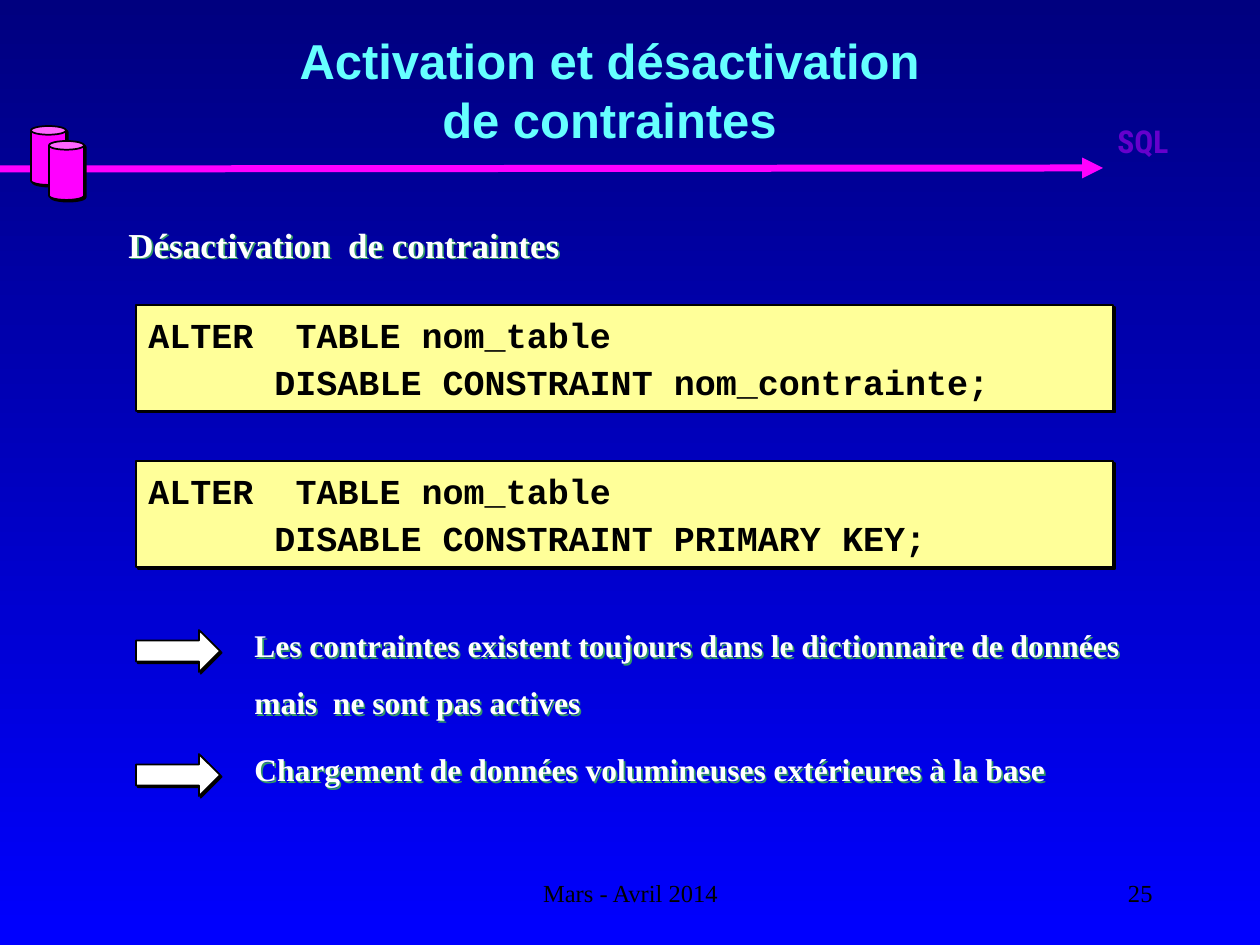
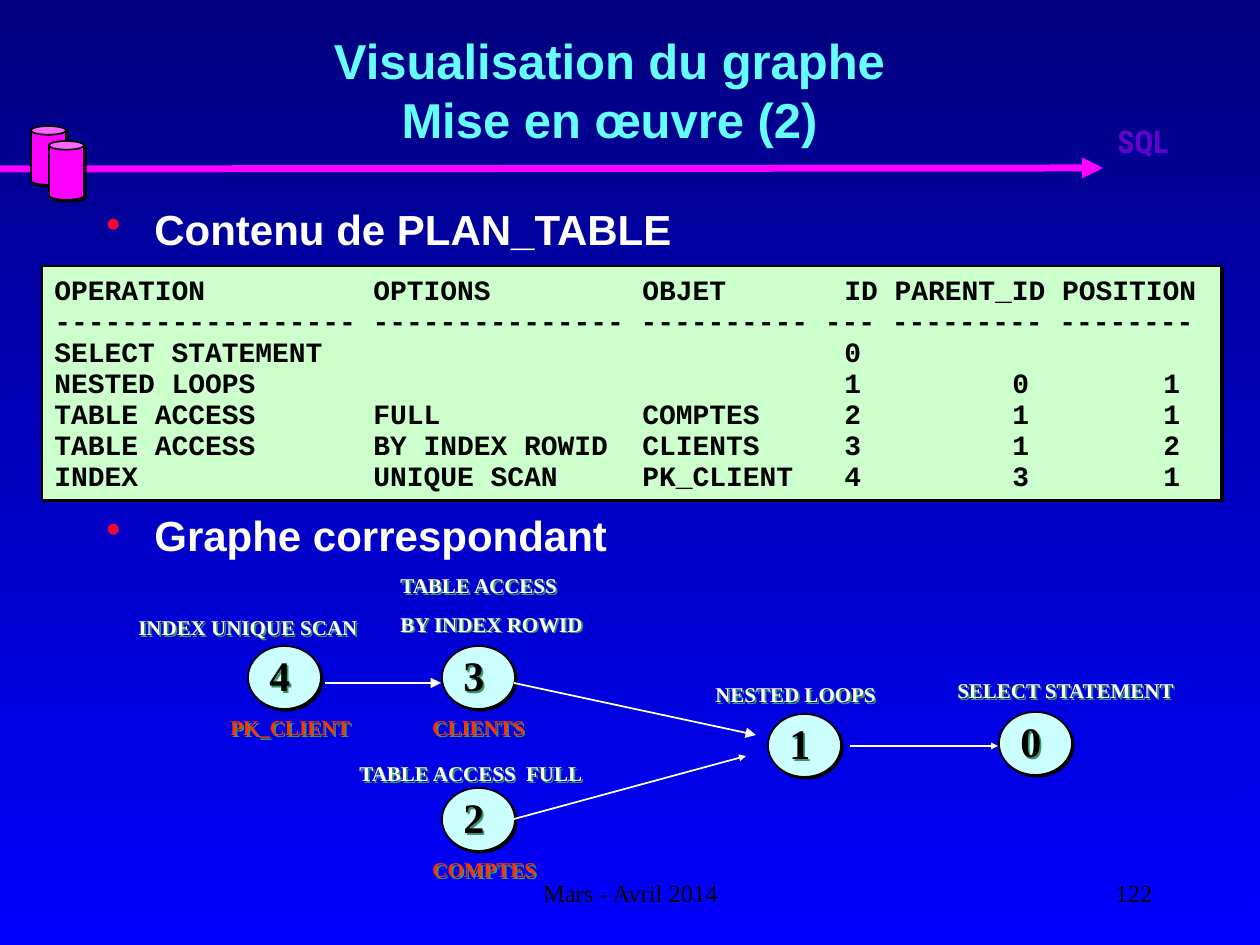
"""Build two SQL course slides: constraint deactivation and a query plan graph."""
from dataclasses import dataclass
from typing import NamedTuple, Optional

import pptx
import pptx.dml.color
import pptx.enum.dml
import pptx.enum.shapes
import pptx.enum.text
import pptx.oxml
import pptx.oxml.ns
import pptx.shapes.autoshape
import pptx.shapes.base
import pptx.slide
import pptx.util
from lxml import etree

EMU_PER_PX = 914400 / 126
MONO_CHAR_PX = 16.8
SHAPES = pptx.enum.shapes.MSO_SHAPE
ALIGN = pptx.enum.text.PP_ALIGN
ANCHOR = pptx.enum.text.MSO_ANCHOR


class Box(NamedTuple):
    left: int
    top: int
    width: int
    height: int


@dataclass(frozen=True)
class TextStyle:
    font: str
    size: int
    color: str
    bold: bool = True
    align: Optional[ALIGN] = None
    anchor: ANCHOR = ANCHOR.TOP
    wrap: bool = True
    before: float = 0
    after: float = 0
    line_spacing: Optional[float] = None
    shadow: Optional[str] = None
    bullet: Optional[str] = None
    indent: int = 0
    insets: tuple[int, int] = (6, 6)
    tabs: tuple[int, ...] = ()


@dataclass(frozen=True)
class Theme:
    sky_top: str = "00007F"
    sky_bottom: str = "0000FF"
    magenta: str = "FF00FF"
    black: str = "000000"
    white: str = "FFFFFF"
    statement_fill: str = "FFFF99"
    listing_fill: str = "CCFFCC"
    node_fill: str = "CCFFFF"
    glow: str = "339966"
    serif: str = "Times New Roman"
    title: TextStyle = TextStyle("Arial", 28, "66FFFF", align=ALIGN.CENTER, anchor=ANCHOR.MIDDLE)
    badge: TextStyle = TextStyle("Roboto Condensed", 18, "6600CC", wrap=False)
    date: TextStyle = TextStyle(serif, 14, black, False, ALIGN.CENTER, ANCHOR.MIDDLE, False)
    number: TextStyle = TextStyle(serif, 14, black, False, ALIGN.RIGHT, ANCHOR.MIDDLE, False)
    heading: TextStyle = TextStyle(serif, 20, white, shadow=glow)
    remark: TextStyle = TextStyle(serif, 18, white, before=11.2, shadow=glow)
    bullet: TextStyle = TextStyle("Arial", 24, white, bullet="FF0033", indent=48)
    statement: TextStyle = TextStyle(
        "Courier New", 20, black, align=ALIGN.LEFT, anchor=ANCHOR.MIDDLE, before=7.5, after=7.5,
        line_spacing=0.5, insets=(26, 11), tabs=(126,))
    listing: TextStyle = TextStyle(
        "Courier New", 16, black, align=ALIGN.LEFT, anchor=ANCHOR.MIDDLE, before=6, after=6,
        line_spacing=0.3, insets=(26, 11),
        tabs=tuple(round(column * MONO_CHAR_PX) for column in (19, 35, 47, 57, 66)))
    digit: TextStyle = TextStyle(serif, 24, black, shadow=glow)
    operation: TextStyle = TextStyle(serif, 12, white, before=7.5, shadow=glow)
    source: TextStyle = TextStyle(serif, 12, "FF3300", shadow=glow)


class PlanNode(NamedTuple):
    number: str
    left: int
    top: int
    operation: tuple[str, ...]
    operation_box: Box
    source: str = ""
    source_left: int = 0


class Link(NamedTuple):
    start: tuple[int, int]
    end: tuple[int, int]
    head: str = "med"


THEME = Theme()
STATEMENTS = (
    (305, "DISABLE CONSTRAINT nom_contrainte;"),
    (461, "DISABLE CONSTRAINT PRIMARY KEY;"),
)
REMARKS = (
    (620, ("Les contraintes existent toujours dans le dictionnaire de données",
           "mais  ne sont pas actives")),
    (744, ("Chargement de données volumineuses extérieures à la base",)),
)
PLAN_ROWS = (
    "OPERATION\tOPTIONS\tOBJET\tID PARENT_ID POSITION",
    "------------------ --------------- ---------- --- --------- --------",
    "SELECT STATEMENT\t\t\t0",
    "NESTED LOOPS\t\t\t1\t0\t1",
    "TABLE ACCESS\tFULL\tCOMPTES\t2\t1\t1",
    "TABLE ACCESS\tBY INDEX ROWID\tCLIENTS\t3\t1\t2",
    "INDEX\tUNIQUE SCAN\tPK_CLIENT\t4\t3\t1",
)
PLAN_NODES = (
    PlanNode("4", 248, 646, ("INDEX UNIQUE SCAN",), Box(126, 609, 368, 38), "PK_CLIENT", 218),
    PlanNode("3", 442, 646, ("TABLE ACCESS", "BY INDEX ROWID"), Box(388, 567, 410, 77),
             "CLIENTS", 420),
    PlanNode("2", 442, 788, ("TABLE ACCESS  FULL",), Box(347, 755, 262, 38), "COMPTES", 420),
    PlanNode("1", 768, 714, ("NESTED LOOPS",), Box(703, 676, 368, 38)),
    PlanNode("0", 999, 712, ("SELECT STATEMENT",), Box(945, 672, 252, 38)),
)
PLAN_LINKS = (
    Link((325, 683), (441, 683)),
    Link((514, 683), (756, 735)),
    Link((514, 819), (746, 756), "sm"),
    Link((850, 746), (998, 746), "sm"),
)


def px(length: int) -> pptx.util.Emu:
    return pptx.util.Emu(round(length * EMU_PER_PX))


def rgb(color: str) -> pptx.dml.color.RGBColor:
    return pptx.dml.color.RGBColor.from_string(color)


def child(parent: etree._Element, tag: str, **attributes: object) -> etree._Element:
    texts = {name: str(value) for name, value in attributes.items()}
    return etree.SubElement(parent, pptx.oxml.ns.qn(f"a:{tag}"), texts)


def cast_shadow(shape: pptx.shapes.base.BaseShape, color: str) -> None:
    shape.shadow.inherit = False
    effects = shape._element.spPr.find(pptx.oxml.ns.qn("a:effectLst"))
    drop = child(effects, "outerShdw", dist=pptx.util.Pt(1.4), dir=45 * 60000,
                 algn="ctr", rotWithShape=0)
    child(drop, "srgbClr", val=color)


def write(shape: pptx.shapes.autoshape.Shape, lines: tuple[str, ...], style: TextStyle) -> None:
    frame = shape.text_frame
    frame.word_wrap = style.wrap
    frame.vertical_anchor = style.anchor
    frame.margin_left = frame.margin_right = pptx.util.Inches(0.1)
    frame.margin_top, frame.margin_bottom = map(px, style.insets)
    for index, line in enumerate(lines):
        paragraph = frame.add_paragraph() if index else frame.paragraphs[0]
        paragraph.alignment = style.align
        paragraph.line_spacing = style.line_spacing
        paragraph.space_before = pptx.util.Pt(style.before if index else 0)
        paragraph.space_after = pptx.util.Pt(style.after)
        properties = paragraph._p.get_or_add_pPr()
        if style.bullet:
            properties.set("marL", str(px(style.indent)))
            properties.set("indent", str(-px(style.indent)))
            child(child(properties, "buClr"), "srgbClr", val=style.bullet)
            child(properties, "buChar", char="•")
        if style.tabs:
            stops = child(properties, "tabLst")
            for stop in style.tabs:
                child(stops, "tab", pos=px(stop), algn="l")
        for part, words in enumerate(line.split("\n")):
            if part:
                paragraph.add_line_break()
            run = paragraph.add_run()
            run.text = words
            run.font.name = style.font
            run.font.size = pptx.util.Pt(style.size)
            run.font.bold = style.bold
            run.font.color.rgb = rgb(style.color)


def add_text(slide: pptx.slide.Slide, box: Box, lines: tuple[str, ...], style: TextStyle) -> None:
    label = slide.shapes.add_textbox(*map(px, box))
    write(label, lines, style)
    if style.shadow:
        cast_shadow(label, style.shadow)


def add_solid(slide: pptx.slide.Slide, kind: SHAPES, box: Box,
              fill: str) -> pptx.shapes.autoshape.Shape:
    solid = slide.shapes.add_shape(kind, *map(px, box))
    solid.fill.solid()
    solid.fill.fore_color.rgb = rgb(fill)
    solid.line.color.rgb = rgb(THEME.black)
    solid.line.width = pptx.util.Pt(1)
    cast_shadow(solid, THEME.black)
    return solid


def add_arrow(slide: pptx.slide.Slide, link: Link, color: str, width: int) -> None:
    arrow = slide.shapes.add_connector(
        pptx.enum.shapes.MSO_CONNECTOR.STRAIGHT, *map(px, link.start + link.end))
    arrow.line.color.rgb = rgb(color)
    arrow.line.width = pptx.util.Pt(width)
    child(arrow.line._get_or_add_ln(), "tailEnd", type="triangle", w=link.head, len=link.head)
    child(arrow._element.spPr, "effectLst")


def add_course_slide(deck: pptx.presentation.Presentation, title: str,
                     number: str) -> pptx.slide.Slide:
    slide = deck.slides.add_slide(deck.slide_layouts[6])
    sky = slide.background.fill
    sky.gradient()
    sky.gradient_angle = 270
    for stop, color in zip(sky.gradient_stops, (THEME.sky_top, THEME.sky_bottom)):
        stop.color.rgb = rgb(color)
    add_arrow(slide, Link((0, 169), (1103, 168)), THEME.magenta, 4)
    for left, top in ((31, 126), (49, 141)):
        add_solid(slide, SHAPES.CAN, Box(left, top, 35, 59), THEME.magenta)
    add_text(slide, Box(1105, 116, 147, 98), ("SQL",), THEME.badge)
    add_text(slide, Box(431, 861, 399, 63), ("Mars - Avril 2014",), THEME.date)
    add_text(slide, Box(903, 861, 262, 63), (number,), THEME.number)
    add_text(slide, Box(53, 10, 1113, 158), (title,), THEME.title)
    return slide


def add_constraints_slide(deck: pptx.presentation.Presentation) -> None:
    slide = add_course_slide(deck, "Activation et désactivation\nde contraintes", "25")
    add_text(slide, Box(116, 217, 998, 55), ("Désactivation  de contraintes",), THEME.heading)
    for top, clause in STATEMENTS:
        panel = add_solid(slide, SHAPES.RECTANGLE, Box(136, top, 977, 106), THEME.statement_fill)
        write(panel, ("ALTER  TABLE nom_table", f"\t{clause}"), THEME.statement)
    for top, remark in REMARKS:
        add_text(slide, Box(242, top, 945, 50 + 58 * (len(remark) - 1)), remark, THEME.remark)
        add_solid(slide, SHAPES.RIGHT_ARROW, Box(136, top + 10, 84, 42), THEME.white)


def add_plan_slide(deck: pptx.presentation.Presentation) -> None:
    slide = add_course_slide(deck, "Visualisation du graphe\nMise en œuvre (2)", "122")
    for top, heading in ((198, "Contenu de PLAN_TABLE"), (503, "Graphe correspondant")):
        add_text(slide, Box(94, top, 1071, 58), (heading,), THEME.bullet)
    listing = add_solid(slide, SHAPES.RECTANGLE, Box(42, 266, 1179, 234), THEME.listing_fill)
    write(listing, PLAN_ROWS, THEME.listing)
    for node in PLAN_NODES:
        add_solid(slide, SHAPES.OVAL, Box(node.left, node.top, 73, 63), THEME.node_fill)
        add_text(slide, Box(node.left + 9, node.top - 2, 105, 63), (node.number,), THEME.digit)
        add_text(slide, node.operation_box, node.operation, THEME.operation)
        if node.source:
            source_box = Box(node.source_left, node.top + 63, 286, 38)
            add_text(slide, source_box, (node.source,), THEME.source)
    for link in PLAN_LINKS:
        add_arrow(slide, link, THEME.white, 1)


def main() -> None:
    deck = pptx.Presentation()
    deck.slide_width, deck.slide_height = px(1260), px(945)
    add_constraints_slide(deck)
    add_plan_slide(deck)
    deck.save("out.pptx")


if __name__ == "__main__":
    main()
